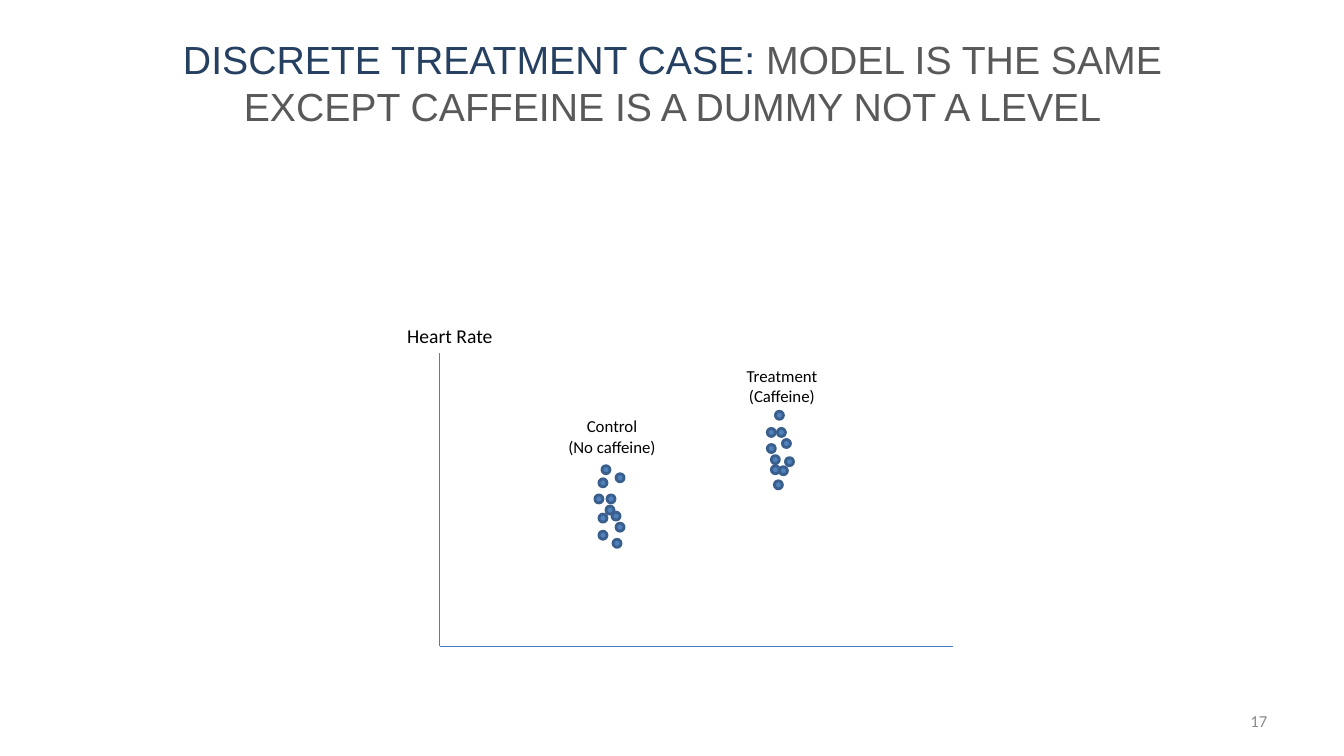
from copy import deepcopy
from dataclasses import dataclass

from lxml import etree
from pptx import Presentation
from pptx.dml.color import RGBColor
from pptx.enum.shapes import MSO_CONNECTOR, MSO_SHAPE
from pptx.enum.text import MSO_ANCHOR, MSO_AUTO_SIZE, PP_ALIGN
from pptx.oxml.ns import qn
from pptx.util import Inches, Pt

STRAIGHT = MSO_CONNECTOR.STRAIGHT
OVAL = MSO_SHAPE.OVAL
TOP, MIDDLE = MSO_ANCHOR.TOP, MSO_ANCHOR.MIDDLE
FIXED, GROW = MSO_AUTO_SIZE.NONE, MSO_AUTO_SIZE.SHAPE_TO_FIT_TEXT
LEFT, CENTER, RIGHT = PP_ALIGN.LEFT, PP_ALIGN.CENTER, PP_ALIGN.RIGHT

NAVY = RGBColor(0x25, 0x40, 0x61)
DARK_GRAY = RGBColor(0x59, 0x59, 0x59)
PAGE_GRAY = RGBColor(0x8C, 0x8C, 0x8C)
BLACK = RGBColor(0x00, 0x00, 0x00)
AXIS_BLUE = RGBColor(0x4B, 0x7E, 0xBC)
DOT_FILL = RGBColor(0x4F, 0x81, 0xBD)
DOT_LINE = RGBColor(0x3A, 0x5F, 0x8C)

DOT_SIZE = 0.08
ORIGIN = (4.36, 6.41)
AXIS_ENDS = [(9.45, 6.41), (4.36, 3.5)]


@dataclass(frozen=True)
class Label:
    text: str
    left: float
    top: float
    width: float
    height: float
    size: int = 12
    align: PP_ALIGN = CENTER
    color: RGBColor = BLACK
    anchor: MSO_ANCHOR = TOP
    wrap: bool = False


@dataclass(frozen=True)
class Group:
    """One arm of the experiment: its caption and the corners of its dots."""
    label: Label
    dots: tuple[tuple[float, float], ...]


GROUPS = [
    Group(Label("Control\n(No caffeine)", 5.53, 4.08, 1.08, 0.5), (
        (5.9, 4.91), (6.02, 4.91), (6.01, 5.02), (5.94, 5.1),
        (6.11, 5.19), (5.94, 5.27), (6.08, 5.35), (6.11, 4.7),
        (5.97, 4.62), (5.94, 4.75), (6.07, 5.08))),
    Group(Label("Treatment\n(Caffeine)", 7.3, 3.58, 0.91, 0.5), (
        (7.61, 4.41), (7.61, 4.25), (7.76, 4.36), (7.79, 4.54),
        (7.65, 4.62), (7.73, 4.63), (7.68, 4.77), (7.69, 4.08),
        (7.71, 4.25), (7.65, 4.52))),
]
HEART_RATE = Label("Heart Rate", 3.94, 3.16, 1.06, 0.34, size=14, align=LEFT)
PAGE_NUMBER = Label("17", 9.56, 6.95, 3.11, 0.4, align=RIGHT,
                    color=PAGE_GRAY, anchor=MIDDLE, wrap=True)


def add_text(para, text: str, *, size: int, color: RGBColor,
             font: str = "Calibri") -> None:
    """Append formatted text, with line breaks of the same format."""
    for index, line in enumerate(text.split("\n")):
        if index:
            para.add_line_break()
            para._p[-1].append(deepcopy(span.font._element))
        span = para.add_run()
        span.text = line
        span.font.name = font
        span.font.size = Pt(size)
        span.font.color.rgb = color


def add_label(page, label: Label) -> None:
    box = page.shapes.add_textbox(Inches(label.left), Inches(label.top),
                                  Inches(label.width), Inches(label.height))
    frame = box.text_frame
    frame.word_wrap = label.wrap
    frame.auto_size = FIXED if label.wrap else GROW
    frame.vertical_anchor = label.anchor
    para = frame.paragraphs[0]
    para.alignment = label.align
    add_text(para, label.text, size=label.size, color=label.color)


def add_axis(page, end: tuple[float, float]) -> None:
    axis = page.shapes.add_connector(
        STRAIGHT, *(Inches(value) for value in ORIGIN + end))
    axis.line.color.rgb = AXIS_BLUE
    axis.line.width = Pt(0.75)
    etree.SubElement(axis._element.spPr, qn("a:effectLst"))


def add_dot(page, left: float, top: float) -> None:
    dot = page.shapes.add_shape(OVAL, Inches(left), Inches(top),
                                Inches(DOT_SIZE), Inches(DOT_SIZE))
    dot.shadow.inherit = False
    dot.fill.solid()
    dot.fill.fore_color.rgb = DOT_FILL
    dot.line.color.rgb = DOT_LINE
    dot.line.width = Pt(2)


def fill_title(page) -> None:
    title = page.shapes.title
    title.left, title.top = Inches(0.67), Inches(0.3)
    title.width, title.height = Inches(12), Inches(1.25)
    frame = title.text_frame
    frame.word_wrap = True
    frame.auto_size = FIXED
    frame.vertical_anchor = TOP
    para = frame.paragraphs[0]
    para.alignment = CENTER
    add_text(para, "DISCRETE TREATMENT CASE: ", size=28, color=NAVY,
             font="Arial")
    add_text(para, "MODEL IS THE SAME\nEXCEPT CAFFEINE IS A DUMMY NOT A LEVEL",
             size=28, color=DARK_GRAY, font="Arial")


def main() -> None:
    deck = Presentation()
    deck.slide_width, deck.slide_height = Inches(13.33), Inches(7.5)
    page = deck.slides.add_slide(deck.slide_layouts.get_by_name("Title Only"))
    fill_title(page)
    for end in AXIS_ENDS:
        add_axis(page, end)
    for group in GROUPS:
        for left, top in group.dots:
            add_dot(page, left, top)
        add_label(page, group.label)
    add_label(page, HEART_RATE)
    add_label(page, PAGE_NUMBER)
    deck.save("out.pptx")


if __name__ == "__main__":
    main()
